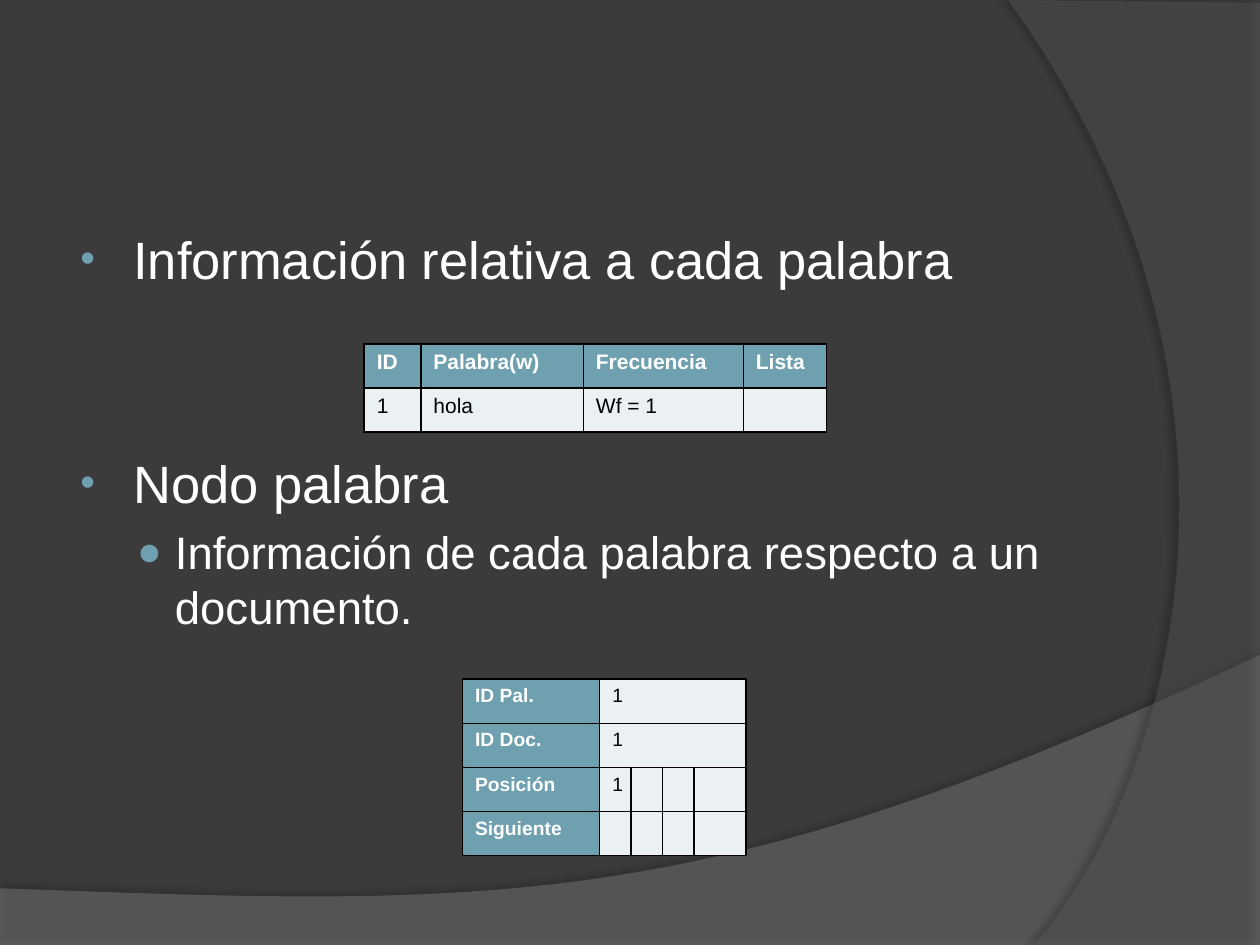
from lxml import etree
from pptx import Presentation
from pptx.dml.color import RGBColor
from pptx.oxml import parse_xml
from pptx.oxml.ns import nsdecls, qn
from pptx.util import Inches, Pt

WHITE, BLACK, TEAL, PALE = "FFFFFF", "000000", "6EA0B0", "EBF0F2"
CURVE_STEPS = 40


def paint(fill, color, alpha=None):
    fill.solid()
    fill.fore_color.rgb = RGBColor.from_string(color)
    if alpha is not None:
        tone = fill._xPr.find(qn("a:solidFill"))[0]
        etree.SubElement(tone, qn("a:alpha")).set("val", str(alpha * 1000))


def write_text(para, text, size, color=WHITE, bold=False):
    if not text:
        para._p.get_or_add_endParaRPr().set("sz", str(size * 100))
        return
    span = para.add_run()
    span.text = text
    span.font.name = "Arial"
    span.font.size = Pt(size)
    span.font.bold = bold
    paint(span.font.fill, color)


deck = Presentation()
deck.slide_width, deck.slide_height = Inches(10), Inches(7.5)
width, height = deck.slide_width, deck.slide_height
page = deck.slides.add_slide(deck.slide_layouts[6])
paint(page.background.fill, "3B3B3B")

waves = [
    ([(1, 0.693), (0.559, 0.972), (0.391, 0.959), (0, 0.94)],
     [(0, 1), (1, 1)], "7F7F7F", 45, 35, 3.5, 270),
    ([(0.821, 1), (0.935, 0.825), (1.018, 0.4), (0.8, 0)],
     [(1, 0.003), (1, 1)], "5E5E5E", 40, 45, 4, 180),
]
for controls, corners, color, alpha, shade, distance, angle in waves:
    outline = []
    for step in range(CURVE_STEPS + 1):
        t = step / CURVE_STEPS
        weights = ((1 - t) ** 3, 3 * t * (1 - t) ** 2, 3 * t * t * (1 - t), t ** 3)
        outline.append(tuple(
            sum(weight * point[axis] for weight, point in zip(weights, controls))
            for axis in (0, 1)))
    points = [(x * width, y * height) for x, y in outline + corners]
    builder = page.shapes.build_freeform(*points[0])
    builder.add_line_segments(points[1:])
    wave = builder.convert_to_shape()
    paint(wave.fill, color, alpha)
    wave.line.fill.background()
    wave._element.spPr.append(parse_xml(
        f'<a:effectLst {nsdecls("a")}><a:outerShdw blurRad="{Pt(4)}" '
        f'dist="{Pt(distance)}" dir="{angle * 60000}" algn="ctr" rotWithShape="0">'
        f'<a:srgbClr val="{BLACK}"><a:alpha val="{shade * 1000}"/></a:srgbClr>'
        '</a:outerShdw></a:effectLst>'))

box = page.shapes.add_textbox(Inches(0.5), Inches(1.75), Inches(9.03), Inches(5.44))
box.text_frame.word_wrap = True
items = [
    ("Información relativa a cada palabra", 30, 6, 0, 0.46, -0.42, "•", 80),
    ("Nodo palabra", 30, 92, 0, 0.46, -0.42, "•", 80),
    ("Información de cada palabra respecto a un documento.",
     26, 6, 1, 0.79, -0.3, "●", 90),
]
for index, (text, size, before, level, margin, indent, mark, scale) in enumerate(items):
    frame = box.text_frame
    para = frame.add_paragraph() if index else frame.paragraphs[0]
    para.level = level
    para.space_before = Pt(before)
    write_text(para, text, size)
    props = para._p.get_or_add_pPr()
    props.set("marL", str(Inches(margin)))
    props.set("indent", str(Inches(indent)))
    tone = etree.SubElement(props, qn("a:buClr"))
    etree.SubElement(tone, qn("a:srgbClr")).set("val", TEAL)
    etree.SubElement(props, qn("a:buSzPct")).set("val", str(scale * 1000))
    etree.SubElement(props, qn("a:buFont")).set("typeface", "Arial")
    etree.SubElement(props, qn("a:buChar")).set("char", mark)

tables = [
    (2.89, 2.73, [0.45, 1.29, 1.27, 0.66], 12, "row",
     [["ID", "Palabra(w)", "Frecuencia", "Lista"], ["1", "hola", "Wf = 1", ""]], []),
    (3.67, 5.39, [1.09, 0.25, 0.25, 0.25, 0.41], 11, "column",
     [["ID Pal.", "1", "", "", ""], ["ID Doc.", "1", "", "", ""],
      ["Posición", "1", "", "", ""], ["Siguiente", "", "", "", ""]], [0, 1]),
]
for left, top, columns, size, header, rows, merged_rows in tables:
    table = page.shapes.add_table(
        len(rows), len(columns), Inches(left), Inches(top),
        Inches(sum(columns)), Inches(0.35 * len(rows))).table
    table.horz_banding = False
    table.first_row = header == "row"
    table.first_col = header == "column"
    for column, share in zip(table.columns, columns):
        column.width = Inches(share)
    for r, texts in enumerate(rows):
        table.rows[r].height = Inches(0.35)
        for c, text in enumerate(texts):
            cell = table.cell(r, c)
            heading = (r if header == "row" else c) == 0
            write_text(cell.text_frame.paragraphs[0], text, size,
                       color=WHITE if heading else BLACK, bold=heading)
            props = cell._tc.get_or_add_tcPr()
            for side in ("lnL", "lnR", "lnT", "lnB"):
                border = etree.SubElement(props, qn(f"a:{side}"), w=str(Pt(1)))
                ink = etree.SubElement(border, qn("a:solidFill"))
                etree.SubElement(ink, qn("a:srgbClr")).set("val", BLACK)
            paint(cell.fill, TEAL if heading else PALE)
    for r in merged_rows:
        table.cell(r, 1).merge(table.cell(r, len(columns) - 1))

deck.save("out.pptx")
